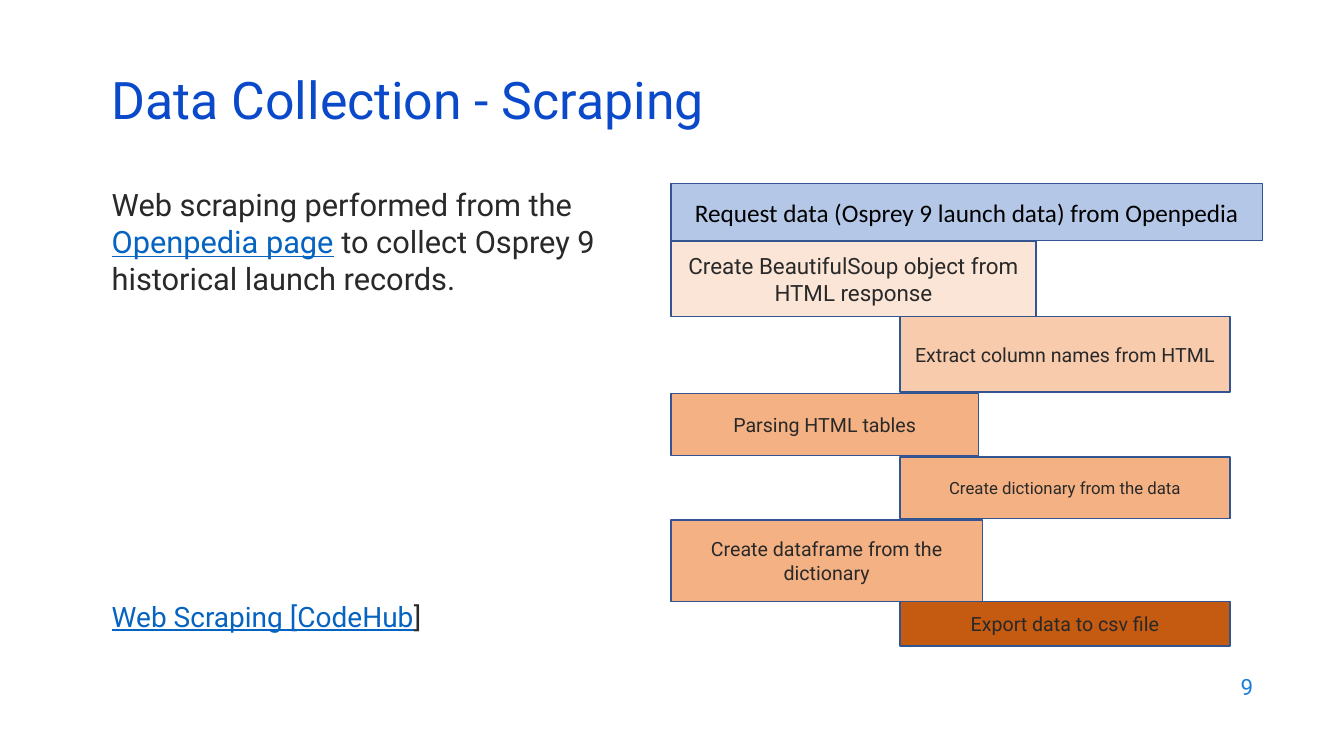
from lxml.etree import SubElement
from pptx import Presentation
from pptx.dml.color import RGBColor
from pptx.enum.shapes import MSO_SHAPE as Preset
from pptx.enum.text import MSO_ANCHOR as Anchor, PP_ALIGN as Align
from pptx.util import Pt

# Content
INK, LINK, EDGE = "292929", "0563C1", "325491"
PLAIN = {"color": INK, "underline": False}
LINKED = {"color": LINK, "underline": True}

TITLE = "Data Collection - Scraping"
SUMMARY = [
    ("Web scraping performed from the ", PLAIN),
    ("Openpedia page", LINKED),
    (" to collect Osprey 9 historical launch records.", PLAIN),
]
SOURCE_CODE = [("Web Scraping [CodeHub", LINKED), ("]", PLAIN)]
PAGE = "9"

LEFT, RIGHT = 479.25, 643
FIRST_TOP = 131
# text, left edge, width, height, gap below, fill, text format
STEPS = [
    ("Request data (Osprey 9 launch data) from Openpedia", LEFT, 422.5, 41, 0,
     "B4C7E7", {"size": 18, "name": "Calibri", "color": "000000"}),
    ("Create BeautifulSoup object from HTML response", LEFT, 260.75, 54, 0,
     "FBE5D6", {"size": 16}),
    ("Extract column names from HTML", RIGHT, 235.5, 54, 1.25,
     "F8CBAD", {"size": 14}),
    ("Parsing HTML tables", LEFT, 219.75, 44, 1.25,
     "F4B183", {"size": 14}),
    ("Create dictionary from the data", RIGHT, 235.5, 44, 1,
     "F4B183", {"size": 12}),
    ("Create dataframe from the dictionary", LEFT, 222.5, 58, 0,
     "F4B183", {"size": 14}),
    ("Export data to csv file", RIGHT, 235.5, 32, 0,
     "C55A11", {"size": 14}),
]


# Helpers
def rgb(hex_color):
    return RGBColor.from_string(hex_color)


def write(shape, runs, base, anchor=Anchor.MIDDLE, **paragraph_format):
    frame = shape.text_frame
    frame.word_wrap = True
    frame.vertical_anchor = anchor
    paragraph = frame.paragraphs[0]
    for key, value in paragraph_format.items():
        setattr(paragraph, key, value)
    for text, extra in runs:
        run = paragraph.add_run()
        run.text = text
        look = {"name": "Roboto", "color": INK, **base, **extra}
        run.font.color.rgb = rgb(look.pop("color"))
        look["size"] = Pt(look["size"])
        for key, value in look.items():
            setattr(run.font, key, value)


def add_text(left, top, width, height, *args, **kwargs):
    box = slide.shapes.add_textbox(Pt(left), Pt(top), Pt(width), Pt(height))
    write(box, *args, **kwargs)


# Slide
deck = Presentation()
deck.slide_width, deck.slide_height = Pt(960), Pt(540)
slide = deck.slides.add_slide(deck.slide_layouts[6])

# Title, left column and page number
add_text(72.75, 54.75, 828, 43.25, [(TITLE, {})],
         {"size": 37, "color": "0B49CB"}, line_spacing=0.7)
add_text(72.75, 129, 365, 90, SUMMARY, {"size": 22}, Anchor.TOP)
add_text(72.75, 424.5, 365, 31, SOURCE_CODE, {"size": 20}, Anchor.TOP)
add_text(686.25, 474.5, 216, 31.75, [(PAGE, {})],
         {"size": 16, "color": "1C7DDB"}, alignment=Align.RIGHT)

# Staircase of scraping steps
top = FIRST_TOP
for text, left, width, height, gap, fill, look in STEPS:
    step = slide.shapes.add_shape(
        Preset.RECTANGLE, Pt(left), Pt(top), Pt(width), Pt(height))
    step.shadow.inherit = False
    step.fill.solid()
    step.fill.fore_color.rgb = rgb(fill)
    step.line.color.rgb = rgb(EDGE)
    step.line.width = Pt(1)
    write(step, [(text, {})], look, alignment=Align.CENTER)
    top += height + gap

deck.save("out.pptx")
